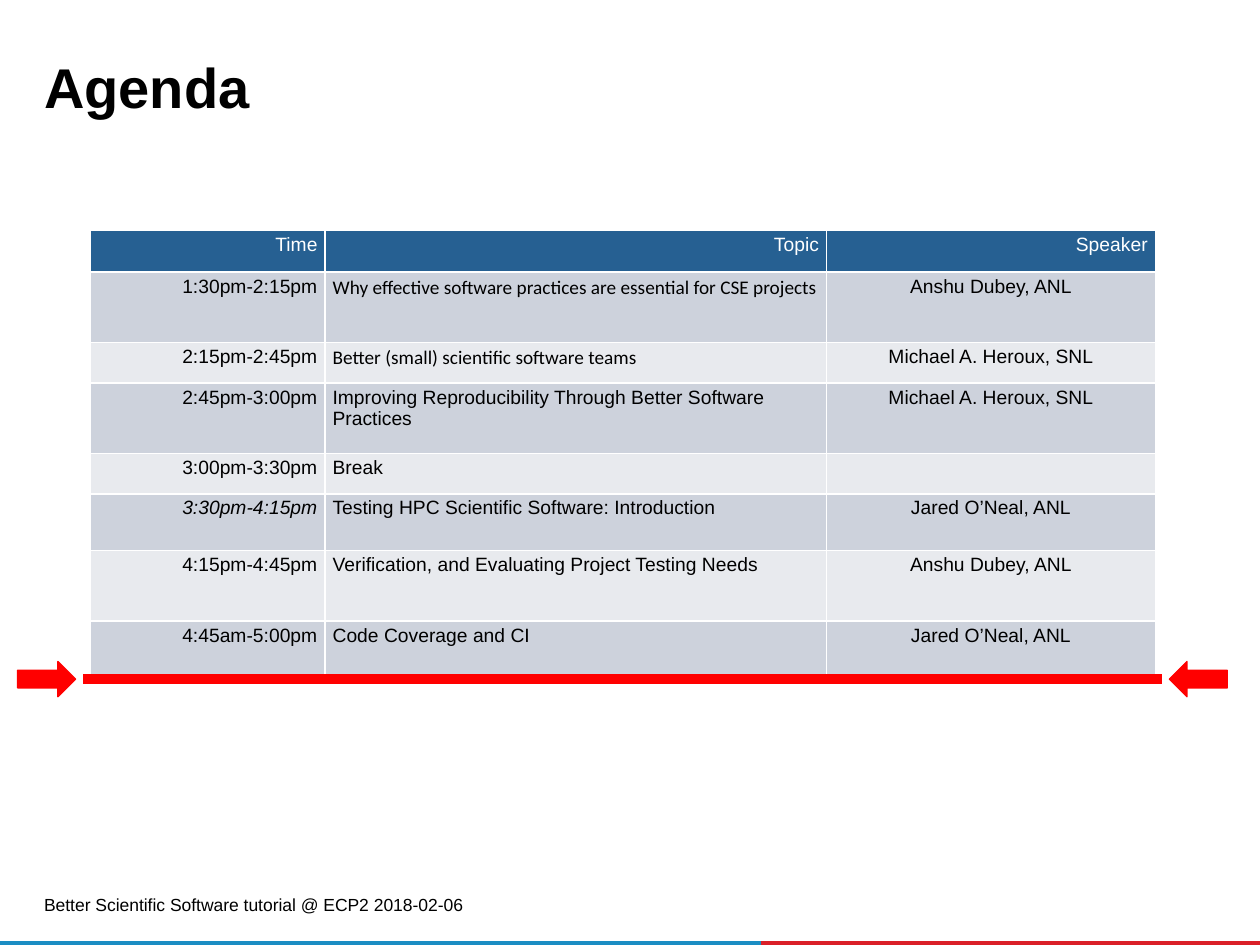
from typing import NamedTuple

from lxml.etree import SubElement
from pptx import Presentation
from pptx.dml.color import RGBColor
from pptx.enum.shapes import MSO_CONNECTOR, MSO_SHAPE
from pptx.enum.text import MSO_ANCHOR, MSO_AUTO_SIZE, PP_ALIGN
from pptx.oxml.ns import qn
from pptx.util import Inches, Pt

COLORS = {
    "black": "000000", "white": "FFFFFF", "header": "266092",
    "odd_row": "CDD2DC", "even_row": "E8EAEE", "marker": "FF0000",
    "footer_blue": "1B8DC3", "footer_red": "DA1F28",
}


class Session(NamedTuple):
    time: str
    topic: str
    speaker: str
    height: float
    topic_font: str = "Arial"
    italic_time: bool = False


class Block(NamedTuple):
    kind: MSO_SHAPE
    left: float
    top: float
    width: float
    height: float
    color: str
    outline: float = 0
    rotation: float = 0


SESSIONS = [
    Session("1:30pm-2:15pm", "Why effective software practices are essential for CSE projects",
            "Anshu Dubey, ANL", 0.56, topic_font="Calibri"),
    Session("2:15pm-2:45pm", "Better (small) scientific software teams",
            "Michael A. Heroux, SNL", 0.32, topic_font="Calibri"),
    Session("2:45pm-3:00pm", "Improving Reproducibility Through Better Software Practices",
            "Michael A. Heroux, SNL", 0.56),
    Session("3:00pm-3:30pm", "Break", "", 0.32),
    Session("3:30pm-4:15pm", "Testing HPC Scientific Software: Introduction",
            "Jared O’Neal, ANL", 0.45, italic_time=True),
    Session("4:15pm-4:45pm", "Verification, and Evaluating Project Testing Needs",
            "Anshu Dubey, ANL", 0.56),
    Session("4:45am-5:00pm", "Code Coverage and CI", "Jared O’Neal, ANL", 0.45),
]
HEADINGS = ("Time", "Topic", "Speaker")
COLUMN_WIDTHS = (1.86, 3.98, 2.61)
COLUMN_ALIGNMENTS = (PP_ALIGN.RIGHT, PP_ALIGN.LEFT, PP_ALIGN.CENTER)
HEADER_HEIGHT = 0.33
CELL_TEXT_SIZE = 11

FOOTER_BARS = [
    Block(MSO_SHAPE.RECTANGLE, 6.04, 7.47, 3.96, 0.03, "footer_red"),
    Block(MSO_SHAPE.RECTANGLE, 0, 7.47, 6.04, 0.03, "footer_blue"),
]
MARKER_ARROWS = [
    Block(MSO_SHAPE.RIGHT_ARROW, 0.14, 5.25, 0.46, 0.28, "marker", 0.75),
    Block(MSO_SHAPE.RIGHT_ARROW, 9.28, 5.25, 0.46, 0.28, "marker", 0.75, 180),
]


def rgb(name: str) -> RGBColor:
    return RGBColor.from_string(COLORS[name])


def style_font(font, size: float, color: str = "black", name: str = "Arial",
               bold: bool = False, italic: bool = False) -> None:
    font.size = Pt(size)
    font.name = name
    font.bold = bold
    font.italic = italic
    font.color.rgb = rgb(color)


def set_insets(frame, inset: float) -> None:
    frame.margin_left = frame.margin_right = Inches(inset)
    frame.margin_top = frame.margin_bottom = Inches(inset)


def draw_block(slide, block: Block) -> None:
    shape = slide.shapes.add_shape(block.kind, Inches(block.left), Inches(block.top),
                                   Inches(block.width), Inches(block.height))
    shape.shadow.inherit = False
    shape.rotation = block.rotation
    shape.fill.solid()
    shape.fill.fore_color.rgb = rgb(block.color)
    if block.outline:
        shape.line.color.rgb = rgb(block.color)
        shape.line.width = Pt(block.outline)
    else:
        shape.line.fill.background()


def fill_cell(cell, text: str, fill: str, align: PP_ALIGN, color: str = "black",
              font: str = "Arial", italic: bool = False) -> None:
    cell.fill.solid()
    cell.fill.fore_color.rgb = rgb(fill)
    cell.margin_left = cell.margin_right = Inches(0.06)
    cell.margin_top = cell.margin_bottom = Inches(0.03)
    paragraph = cell.text_frame.paragraphs[0]
    paragraph.alignment = align
    if text:
        paragraph.text = text
        style_font(paragraph.runs[0].font, CELL_TEXT_SIZE, color, font, italic=italic)
    else:
        # Keeps an empty cell from stretching its row
        SubElement(paragraph._p, qn("a:endParaRPr")).set("sz", str(CELL_TEXT_SIZE * 100))


def draw_agenda(slide, sessions: list[Session]) -> None:
    heights = [HEADER_HEIGHT] + [session.height for session in sessions]
    agenda = slide.shapes.add_table(
        len(heights), len(HEADINGS), Inches(0.72), Inches(1.83),
        Inches(sum(COLUMN_WIDTHS)), Inches(sum(heights))).table
    for column, width in zip(agenda.columns, COLUMN_WIDTHS):
        column.width = Inches(width)
    for row, height in zip(agenda.rows, heights):
        row.height = Inches(height)

    for index, heading in enumerate(HEADINGS):
        fill_cell(agenda.cell(0, index), heading, "header", PP_ALIGN.RIGHT, "white")
    for number, session in enumerate(sessions, start=1):
        fill = "odd_row" if number % 2 else "even_row"
        texts = (session.time, session.topic, session.speaker)
        fonts = ("Arial", session.topic_font, "Arial")
        for index, (text, font, align) in enumerate(zip(texts, fonts, COLUMN_ALIGNMENTS)):
            fill_cell(agenda.cell(number, index), text, fill, align, font=font,
                      italic=session.italic_time and index == 0)


def main() -> None:
    presentation = Presentation()
    presentation.slide_width = Inches(10)
    presentation.slide_height = Inches(7.5)
    slide = presentation.slides.add_slide(presentation.slide_layouts[5])

    # Footer
    for bar in FOOTER_BARS:
        draw_block(slide, bar)
    footer = slide.shapes.add_textbox(Inches(0.3), Inches(7.05), Inches(3.52), Inches(0.25))
    footer_frame = footer.text_frame
    footer_frame.word_wrap = True
    footer_frame.vertical_anchor = MSO_ANCHOR.MIDDLE
    set_insets(footer_frame, 0.05)
    footer_frame.text = "Better Scientific Software tutorial @ ECP2 2018-02-06"
    style_font(footer_frame.paragraphs[0].runs[0].font, 10)

    # Title
    title = slide.shapes.title
    title.left, title.top = Inches(0.3), Inches(0.45)
    title.width, title.height = Inches(9.33), Inches(0.56)
    title_frame = title.text_frame
    title_frame.auto_size = MSO_AUTO_SIZE.NONE
    title_frame.vertical_anchor = MSO_ANCHOR.TOP
    set_insets(title_frame, 0.05)
    title_frame.text = "Agenda"
    heading = title_frame.paragraphs[0]
    heading.alignment = PP_ALIGN.LEFT
    heading.line_spacing = 0.85
    style_font(heading.runs[0].font, 32, bold=True)

    # Agenda table
    draw_agenda(slide, SESSIONS)

    # Red marker below the last session
    marker_line = slide.shapes.add_connector(
        MSO_CONNECTOR.STRAIGHT, Inches(0.66), Inches(5.39), Inches(9.22), Inches(5.39))
    marker_line.line.color.rgb = rgb("marker")
    marker_line.line.width = Pt(6)
    SubElement(marker_line._element.spPr, qn("a:effectLst"))
    for arrow in MARKER_ARROWS:
        draw_block(slide, arrow)

    presentation.save("out.pptx")


if __name__ == "__main__":
    main()
